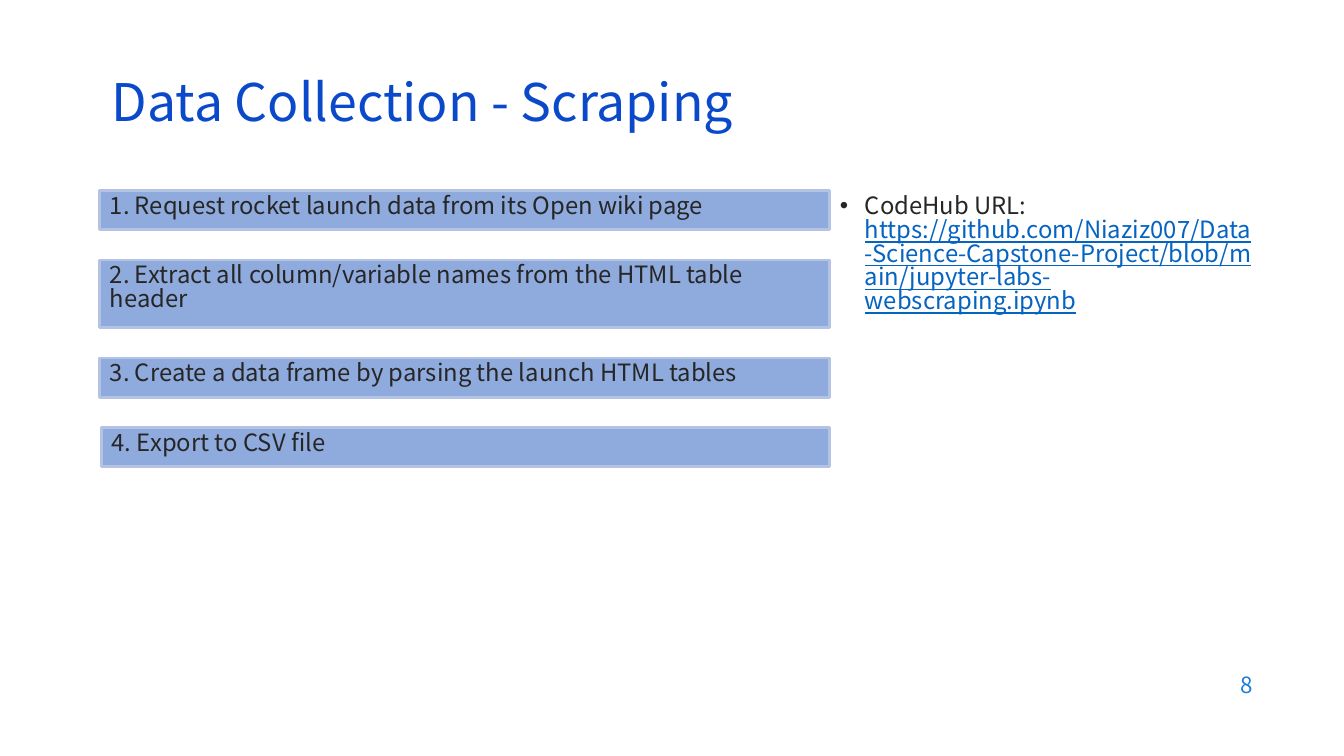
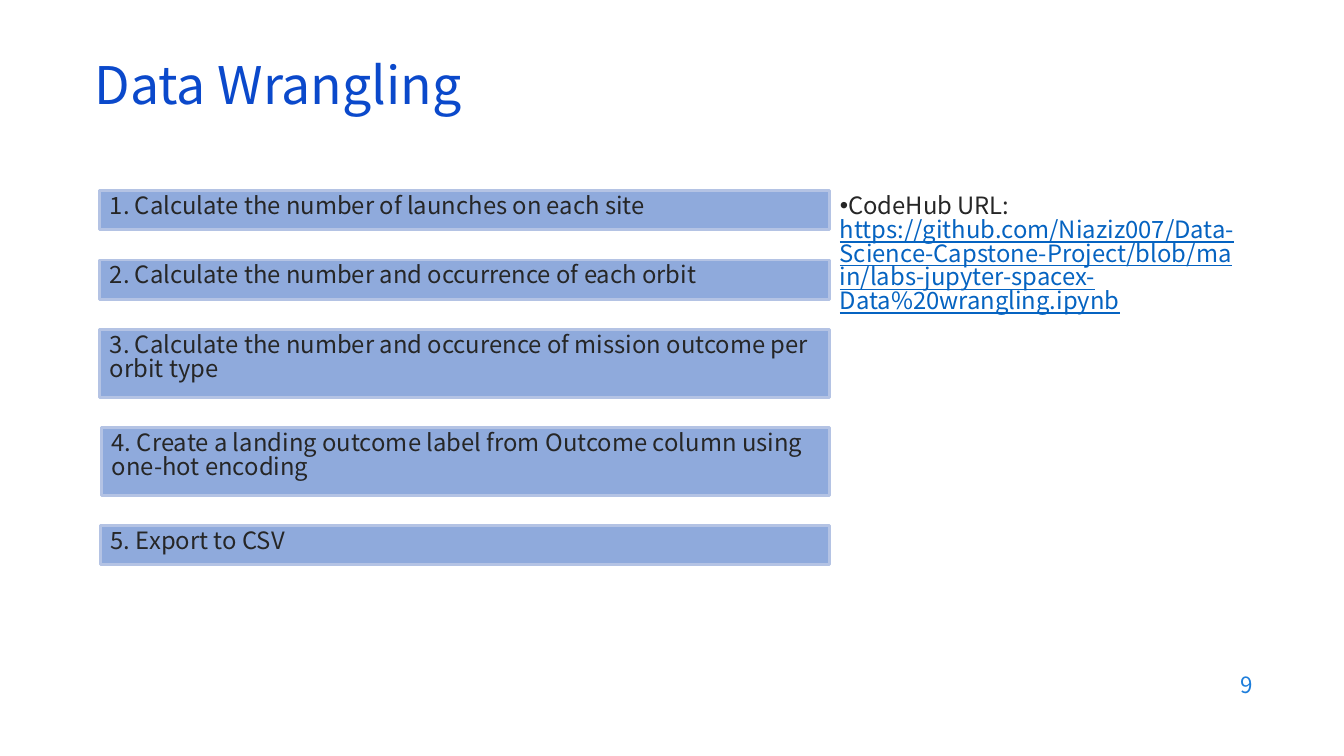
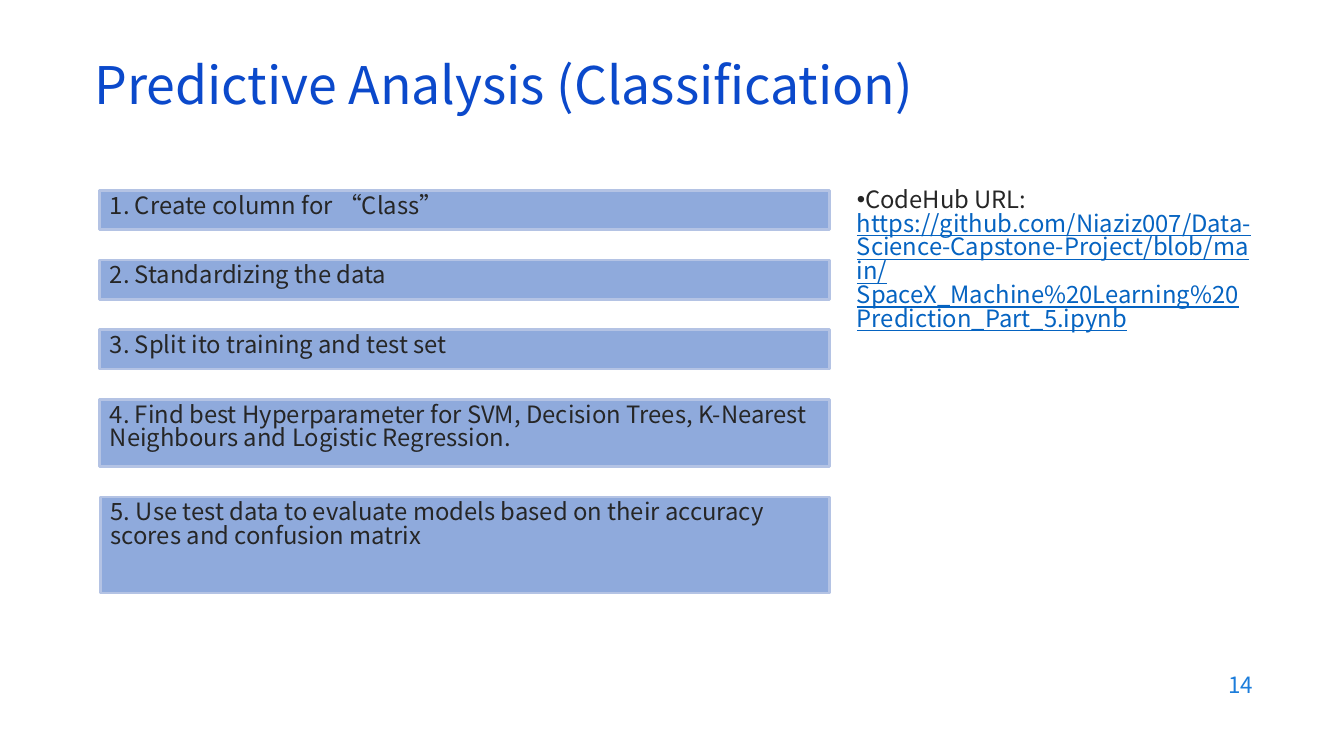
from lxml import etree
from pptx import Presentation
from pptx.dml.color import RGBColor
from pptx.enum.shapes import MSO_SHAPE
from pptx.enum.text import MSO_ANCHOR, MSO_AUTO_SIZE, PP_ALIGN
from pptx.oxml.ns import qn
from pptx.util import Inches, Pt

RECT = MSO_SHAPE.RECTANGLE
TOP, MIDDLE = MSO_ANCHOR.TOP, MSO_ANCHOR.MIDDLE
LEFT, RIGHT = PP_ALIGN.LEFT, PP_ALIGN.RIGHT

# Shared style
FONT = "Noto Sans CJK TC"
COLORS = {"title": "0B49CB", "text": "262626", "link": "0563C1",
          "page": "1C7DDB", "bar": "8FAADC", "edge": "B4C3E4"}
TITLE, BODY, PAGE = 37, 17, 16
TIGHT, SNUG = 0.8, 0.83

# Bar column, in percent of the slide
BAR_TOP, BAR_END = 25.2, 61.73
LINE, PAD, GAP = 3.75, 1.45, 4

REPO = "https://github.com/Niaziz007/Data-Science-Capstone-Project/blob/main/"

# Each step: text, lines high, left edge
SLIDES = [
    {"title": "Data Collection - Scraping", "head": (7.58, 10.13), "page": "8",
     "file": "jupyter-labs-webscraping.ipynb", "hang": 0.25,
     "note": (61.73, 25.2, 32.25, 55.6),
     "steps": [
         ("1. Request rocket launch data from its Open wiki page", 1, 7.43),
         ("2. Extract all column/variable names from the HTML table header", 2, 7.43),
         ("3. Create a data frame by parsing the launch HTML tables", 1, 7.43),
         ("4. Export to CSV file", 1, 7.58)]},
    {"title": "Data Wrangling", "head": (6.3, 7.87), "page": "9",
     "file": "labs-jupyter-spacex-Data%20wrangling.ipynb", "hang": 0,
     "note": (61.73, 25.2, 30.83, 64.93),
     "steps": [
         ("1. Calculate the number of launches on each site", 1, 7.43),
         ("2. Calculate the number and occurrence of each orbit", 1, 7.43),
         ("3. Calculate the number and occurence of mission outcome per orbit type",
          2, 7.43),
         ("4. Create a landing outcome label from Outcome column using one-hot encoding",
          2, 7.58),
         ("5. Export to CSV", 1, 7.5)]},
    {"title": "Predictive Analysis (Classification)", "head": (6.3, 7.87), "page": "14",
     "file": "SpaceX_Machine%20Learning%20Prediction_Part_5.ipynb", "hang": 0,
     "note": (63, 24.4, 30.98, 63.47),
     "steps": [
         ("1. Create column for “Class”", 1, 7.43),
         ("2. Standardizing the data", 1, 7.43),
         ("3. Split ito training and test set", 1, 7.43),
         ("4. Find best Hyperparameter for SVM, Decision Trees, K-Nearest "
          "Neighbours and Logistic Regression.", 2, 7.43),
         ("5. Use test data to evaluate models based on their accuracy scores "
          "and confusion matrix", 3, 7.5)]},
]

prs = Presentation()
prs.slide_width, prs.slide_height = Inches(13.33), Inches(7.5)


def place(shape, x, y, w, h):
    """Set a shape's box in percent of the slide."""
    wide, high = prs.slide_width / 100, prs.slide_height / 100
    shape.left, shape.width = int(x * wide), int(w * wide)
    shape.top, shape.height = int(y * high), int(h * high)


def style(shape, size, color, anchor=TOP, align=LEFT, space=SNUG):
    """Format the frame, paragraph and runs of a shape."""
    frame = shape.text_frame
    frame.word_wrap = True
    frame.auto_size = MSO_AUTO_SIZE.NONE
    frame.vertical_anchor = anchor
    par = frame.paragraphs[0]
    par.alignment, par.line_spacing, par.space_before = align, space, Pt(0)
    for run in par.runs:
        run.font.size, run.font.name = Pt(size), FONT
        run.font.color.rgb = RGBColor.from_string(COLORS[color])
        east = etree.Element(qn("a:ea"), typeface=FONT)
        run.font._element.find(qn("a:latin")).addnext(east)


for data in SLIDES:
    slide = prs.slides.add_slide(prs.slide_layouts[1])
    shapes = slide.shapes

    # Title
    title = shapes.title
    title.text_frame.text = data["title"]
    place(title, *data["head"], 86.27, 8)
    style(title, TITLE, "title", MIDDLE, space=TIGHT)

    # Address beside the bars
    note = slide.placeholders[1]
    place(note, *data["note"])
    par = note.text_frame.paragraphs[0]
    for text in ("CodeHub URL: ", REPO + data["file"]):
        par.add_run().text = text
    props = par._p.get_or_add_pPr()
    props.set("marL", str(Inches(data["hang"])))
    props.set("indent", str(-Inches(data["hang"])))
    etree.SubElement(props, qn("a:buFont"), typeface="Arial")
    etree.SubElement(props, qn("a:buChar"), char="•")
    style(note, BODY, "text")
    link = par.runs[1].font
    link.color.rgb = RGBColor.from_string(COLORS["link"])
    link.underline = True

    # Step bars, stacked with equal gaps
    y = BAR_TOP
    for text, lines, x in data["steps"]:
        bar = shapes.add_shape(RECT, 0, 0, 0, 0)
        high = lines * LINE + PAD
        place(bar, x, y, BAR_END - x, high)
        bar.shadow.inherit = False
        bar.fill.solid()
        bar.fill.fore_color.rgb = RGBColor.from_string(COLORS["bar"])
        bar.line.color.rgb = RGBColor.from_string(COLORS["edge"])
        bar.line.width = Pt(2)
        bar.text_frame.text = text
        style(bar, BODY, "text")
        y += high + GAP

    # Page number
    page = shapes.add_textbox(0, 0, 0, 0)
    page.text_frame.text = data["page"]
    place(page, 71.48, 87.87, 22.5, 5.87)
    style(page, PAGE, "page", MIDDLE, RIGHT)

prs.save("out.pptx")
